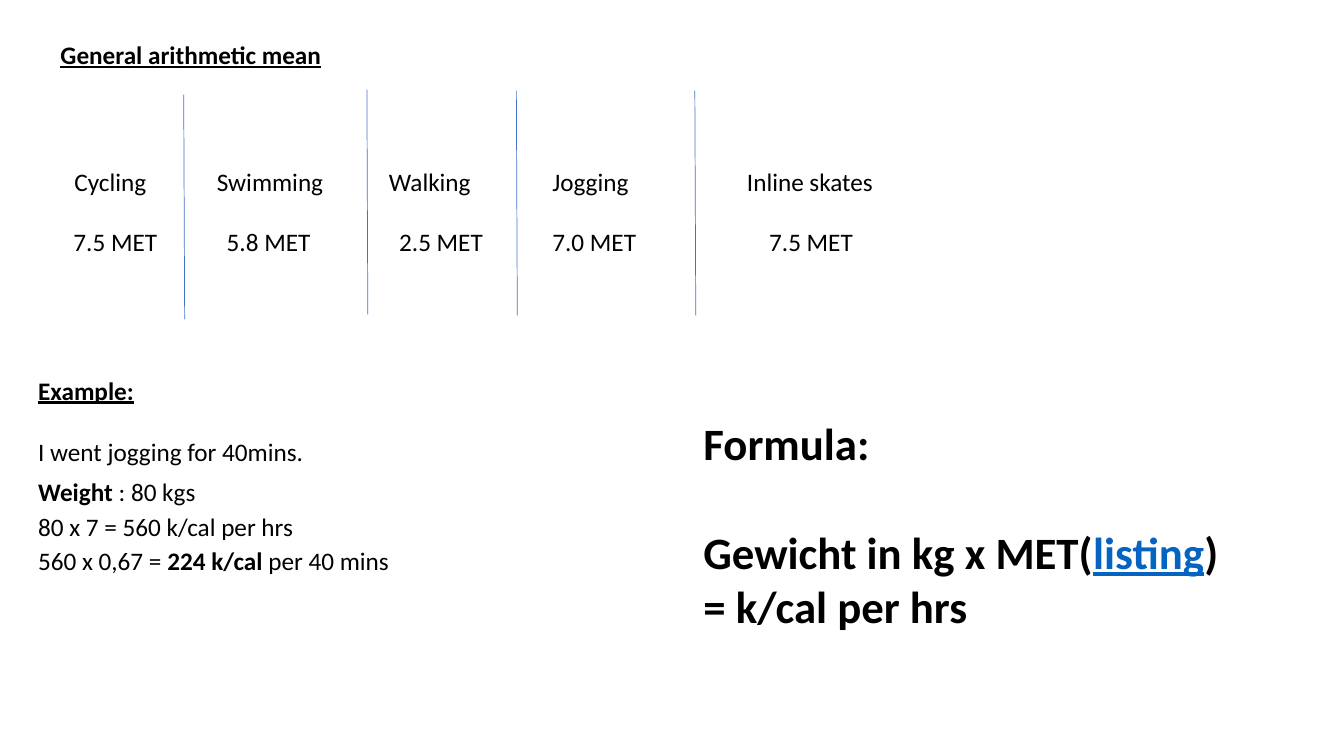
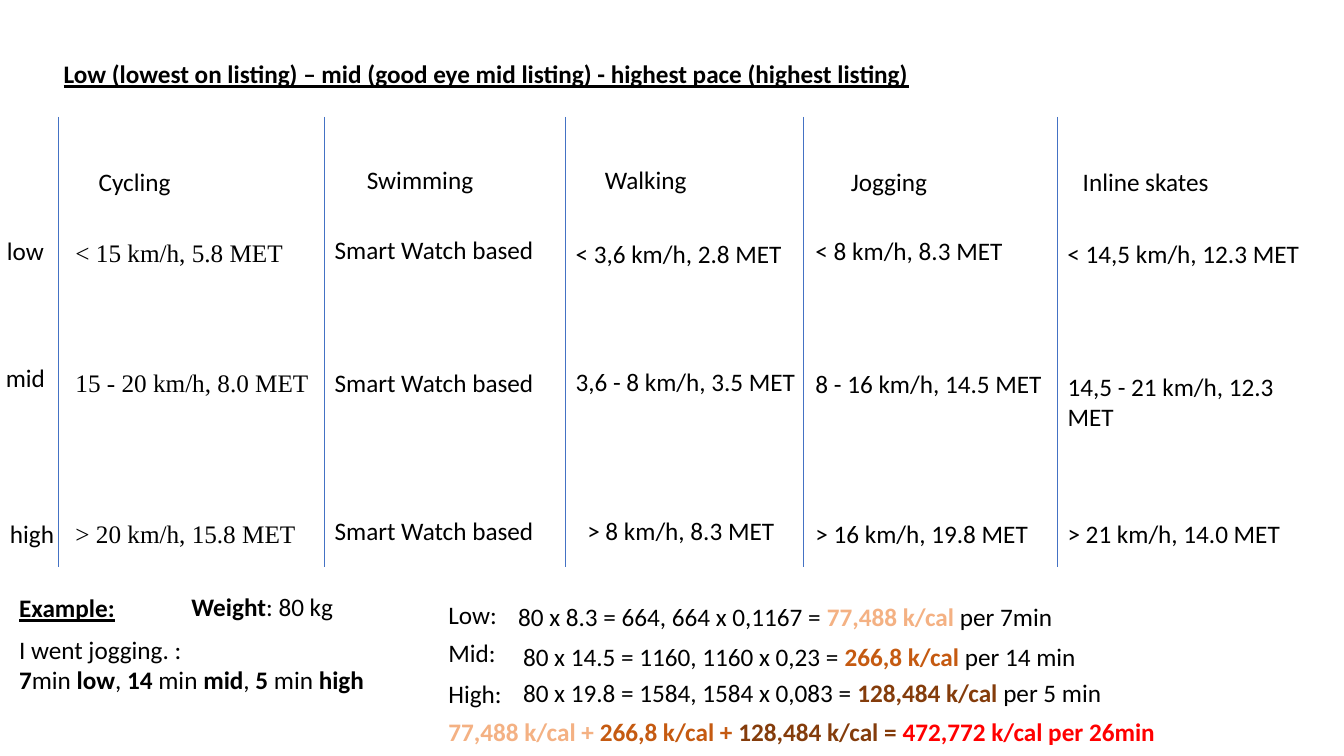
from pptx import Presentation, util as u
from pptx.dml.color import RGBColor
from pptx.enum import shapes, text
from pptx.oxml import ns
from lxml import etree

WIDTH, HEIGHT = u.Inches(13.33), u.Inches(7.5)
FONT, SERIF = "Calibri", "Times New Roman"
COLORS = {
    "ink": "000000", "rule": "4472C4", "link": "0563C1",
    "low": "F4B183", "mid": "C55A11", "high": "843C0B", "total": "FF0000",
}
LINE_HEIGHT = 5.33
SPORTS = ["Cycling", "Swimming", "Walking", "Jogging", "Inline skates"]


# Lengths are percentages of the slide's width and height
def across(share):
    return u.Emu(round(WIDTH * share / 100))


def down(share):
    return u.Emu(round(HEIGHT * share / 100))


def color(name):
    return RGBColor.from_string(COLORS[name])


def write(paragraph, pieces, size=18, font=FONT):
    """Each piece is a string or (words, "b"/"u" flags, colour name)."""
    for piece in [pieces] if isinstance(pieces, str) else pieces:
        words, flags, ink = (piece, "", "ink") if isinstance(piece, str) else piece
        run = paragraph.add_run()
        run.text = words
        run.font.name = font
        run.font.size = u.Pt(size)
        run.font.bold = "b" in flags
        run.font.underline = "u" in flags
        run.font.color.rgb = color(ink)


def bold(words, ink="ink"):
    return (words, "b", ink)


def heading(words):
    return [(words, "bu", "ink")]


def add_label(slide, x, y, width, *lines, size=18, font=FONT):
    box = slide.shapes.add_textbox(
        across(x), down(y), across(width), down(LINE_HEIGHT * len(lines)))
    frame = box.text_frame
    frame.word_wrap = True
    for index, pieces in enumerate(lines):
        paragraph = frame.add_paragraph() if index else frame.paragraphs[0]
        write(paragraph, pieces, size, font)
    return frame


def add_divider(slide, x, top, bottom, slant=0):
    divider = slide.shapes.add_connector(
        shapes.MSO_CONNECTOR.STRAIGHT,
        across(x), down(top), across(x + slant), down(bottom))
    divider.line.color.rgb = color("rule")
    divider.line.width = u.Pt(0.5)
    etree.SubElement(divider._element.spPr, ns.qn("a:effectLst"))


def add_titled_slide(deck, words, x, y, width):
    slide = deck.slides.add_slide(deck.slide_layouts[5])
    title = slide.shapes.title
    title.left, title.top = across(x), down(y)
    title.width, title.height = across(width), down(LINE_HEIGHT)
    frame = title.text_frame
    frame.word_wrap = True
    frame.auto_size = text.MSO_AUTO_SIZE.NONE
    frame.vertical_anchor = text.MSO_ANCHOR.TOP
    frame.paragraphs[0].alignment = text.PP_ALIGN.LEFT
    write(frame.paragraphs[0], heading(words))
    return slide


def build_mean_slide(deck):
    slide = add_titled_slide(deck, "General arithmetic mean", 3.75, 4.53, 31.4)

    # Mean MET per sport: name position, value position, value
    means = [(4.8, 4.73, "7.5"), (15.4, 16.13, "5.8"), (28.2, 28.96, "2.5"),
             (40.36, 40.36, "7.0"), (54.84, 56.49, "7.5")]
    for sport, (name_x, met_x, met) in zip(SPORTS, means):
        add_label(slide, name_x, 21.3, 15, sport)
        add_label(slide, met_x, 29.33, 11.25, f"{met} MET")
    for x, top in [(13.67, 12.53), (27.3, 11.87), (38.42, 12), (51.7, 12)]:
        add_divider(slide, x, top, top + 29.73, slant=0.07)

    # Worked example
    example = [
        (48.93, heading("Example:")),
        (57.07, "I went jogging for 40mins."),
        (62.4, [bold("Weight"), " : 80 kgs"]),
        (66.93, "80 x 7 = 560 k/cal per hrs"),
        (71.47, ["560 x 0,67 = ", bold("224 k/cal "), "per 40 mins"]),
    ]
    for y, line in example:
        add_label(slide, 2.1, y, 31.2, line)

    # Formula
    formula = add_label(
        slide, 51.6, 54.4, 47.2,
        [bold("Formula:")],
        [bold("Gewicht in kg x MET("), ("listing", "bu", "link"), bold(")")],
        [bold("= k/cal per hrs")], size=32)
    formula.paragraphs[1].space_before = u.Pt(39)


def build_pace_slide(deck):
    slide = add_titled_slide(
        deck,
        "Low (lowest on listing) – mid (good eye mid listing) - "
        "highest pace (highest listing)", 3.98, 7.07, 70.8)

    # Sport names and dividers
    names = [(6.6, 21.33), (26.56, 21.07), (44.26, 21.07), (62.57, 21.33), (79.82, 21.33)]
    for sport, (x, y) in zip(SPORTS, names):
        add_label(slide, x, y, 15, sport)
    for x in (4.35, 24.16, 42.09, 59.79, 78.69):
        add_divider(slide, x, 15.47, 75.07)

    # Pace levels
    for level, x, y in [("low", -0.23, 30.53), ("mid", -0.3, 47.33), ("high", 0, 67.87)]:
        add_label(slide, x, y, 6, level)

    # Per sport: x, width, font, then (y, pace) for low, mid and high
    watch = "Smart Watch based"
    paces = [
        (4.88, 19.35, SERIF, [(30.67, "< 15 km/h, 5.8 MET"),
                              (47.87, "15 - 20 km/h, 8.0 MET"),
                              (67.87, "> 20 km/h, 15.8 MET")]),
        (24.16, 18.75, FONT, [(30.4, watch), (47.87, watch), (67.47, watch)]),
        (42.09, 18.75, FONT, [(30.93, "< 3,6 km/h, 2.8 MET"),
                              (47.73, "3,6 - 8 km/h, 3.5 MET"),
                              (67.47, "> 8 km/h, 8.3 MET")]),
        (59.94, 18.75, FONT, [(30.53, "< 8 km/h, 8.3 MET"),
                              (48, "8 - 16 km/h, 14.5 MET"),
                              (67.87, "> 16 km/h, 19.8 MET")]),
        (78.69, 18.9, FONT, [(30.93, "< 14,5 km/h, 12.3 MET"),
                             (48.4, "14,5 - 21 km/h, 12.3 MET"),
                             (67.87, "> 21 km/h, 14.0 MET")]),
    ]
    for x, width, font, levels in paces:
        for y, pace in levels:
            indent = 0.87 if pace.startswith("> 8 ") else 0
            extra = 1.35 if pace.startswith("< 14,5") else 0
            add_label(slide, x + indent, y, width + extra, pace, font=font)

    # Worked example
    add_label(slide, 0.68, 77.73, 16.4, heading("Example:"))
    add_label(slide, 13.5, 77.6, 18, [bold("Weight"), ": 80 kg"])
    add_label(slide, 0.68, 83.2, 31.7, "I went jogging. :",
              [bold("7"), "min ", bold("low"), ", ", bold("14"), " min ",
               bold("mid"), ", ", bold("5"), " min ", bold("high")])

    # Energy per level and total
    sums = [
        ("low", 78.67, 37.81, 78.93, "80 x 8.3 = 664, 664 x 0,1167 = ", "77,488 k/cal", "7min"),
        ("mid", 83.6, 38.18, 84.13, "80 x 14.5 = 1160, 1160 x 0,23 = ", "266,8 k/cal", "14 min"),
        ("high", 89.07, 38.18, 88.93, "80 x 19.8 = 1584, 1584 x 0,083 = ", "128,484 k/cal", "5 min"),
    ]
    total = []
    for level, label_y, x, y, working, energy, minutes in sums:
        add_label(slide, 32.63, label_y, 5.6, f"{level.title()}:")
        add_label(slide, x, y, 46.4, [working, bold(energy, level), f" per {minutes}"])
        total.append(bold(energy + (" = " if level == "high" else " + "), level))
    total.append(bold("472,772 k/cal per 26min", "total"))
    add_label(slide, 32.63, 94.13, 59.1, total)


def main():
    deck = Presentation()
    deck.slide_width, deck.slide_height = WIDTH, HEIGHT
    build_mean_slide(deck)
    build_pace_slide(deck)
    deck.save("out.pptx")


main()
